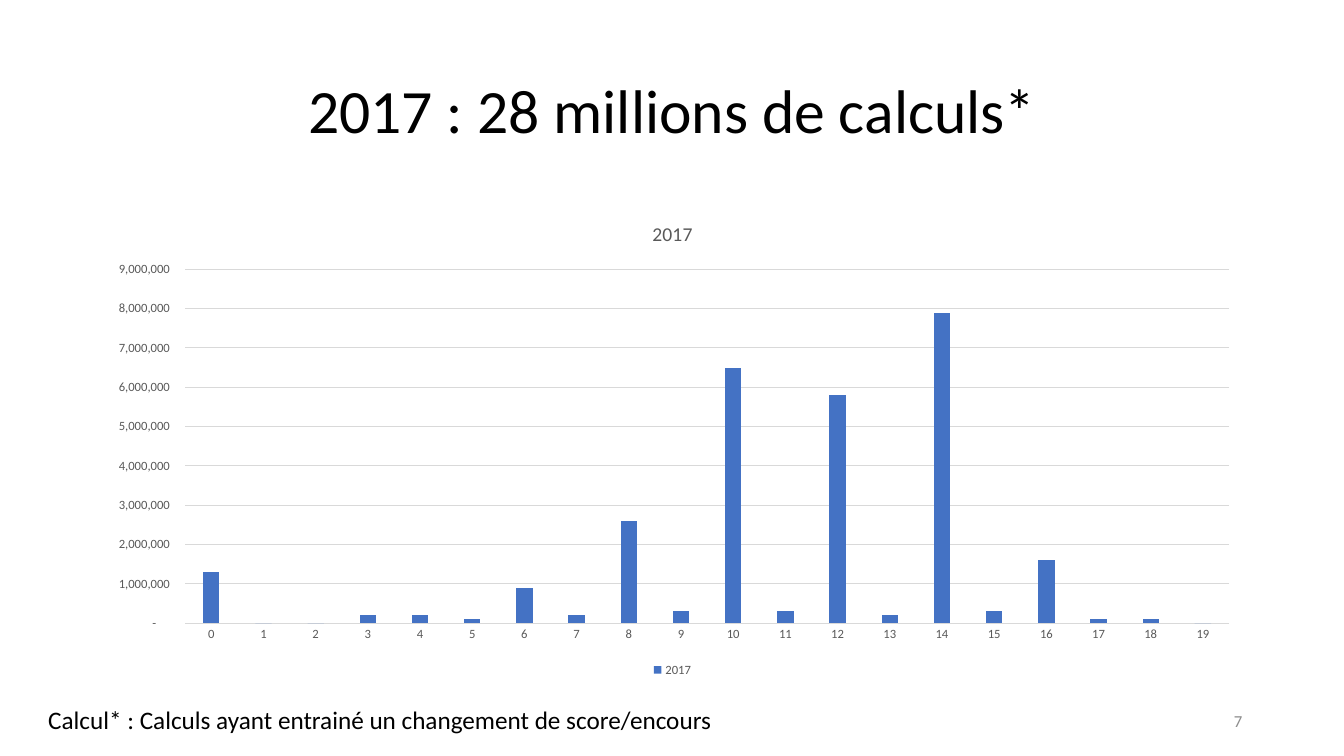
from pptx import Presentation
from pptx.chart.data import CategoryChartData
from pptx.dml.color import RGBColor
from pptx.enum.chart import XL_CHART_TYPE, XL_LEGEND_POSITION, XL_TICK_MARK
from pptx.enum.text import MSO_ANCHOR, MSO_AUTO_SIZE, PP_ALIGN
from pptx.util import Inches, Pt

TITLE = "2017 : 28 millions de calculs*"
FOOTNOTE = "Calcul* : Calculs ayant entrainé un changement de score/encours"
PAGE_NUMBER = "7"
YEAR = "2017"
CALCULATIONS = [
    1300000, 0, 0, 200000, 200000, 100000, 900000, 200000, 2600000, 300000,
    6500000, 300000, 5800000, 200000, 7900000, 300000, 1600000, 100000, 100000, 0,
]
NUMBER_FORMAT = r'_-* #,##0\ _€_-;\-* #,##0\ _€_-;_-* "-"??\ _€_-;_-@_-'

FONT = "Calibri"
BLACK = RGBColor(0x00, 0x00, 0x00)
LABEL_GRAY = RGBColor(0x59, 0x59, 0x59)
NUMBER_GRAY = RGBColor(0x8C, 0x8C, 0x8C)
GRID_GRAY = RGBColor(0xD9, 0xD9, 0xD9)
BAR_BLUE = RGBColor(0x44, 0x72, 0xC4)

NO_TICK = XL_TICK_MARK.NONE
COLUMNS = XL_CHART_TYPE.COLUMN_CLUSTERED
LEGEND_BOTTOM = XL_LEGEND_POSITION.BOTTOM
MIDDLE = MSO_ANCHOR.MIDDLE
NO_FIT = MSO_AUTO_SIZE.NONE
LEFT, CENTER, RIGHT = PP_ALIGN.LEFT, PP_ALIGN.CENTER, PP_ALIGN.RIGHT

WIDTH, HEIGHT = 13.33, 7.5
MARGIN = 0.92
CONTENT_WIDTH = 11.5
NUMBER_WIDTH = 3
NUMBER_LEFT = MARGIN + CONTENT_WIDTH - NUMBER_WIDTH


def style_font(font, size, color):
    font.name = FONT
    font.size = Pt(size)
    font.bold = False
    font.color.rgb = color


def style_line(line):
    line.color.rgb = GRID_GRAY
    line.width = Pt(0.75)


def write(box, text, size, color, align):
    frame = box.text_frame
    frame.text = text
    frame.word_wrap = True
    frame.auto_size = NO_FIT
    para = frame.paragraphs[0]
    para.alignment = align
    style_font(para.runs[0].font, size, color)
    return frame


def add_text(page, area, text, size, color, align):
    box = page.shapes.add_textbox(*map(Inches, area))
    return write(box, text, size, color, align)


def add_title(page):
    title = page.shapes.title
    title.left, title.top = Inches(MARGIN), Inches(0.4)
    title.width, title.height = Inches(CONTENT_WIDTH), Inches(1.45)
    frame = write(title, TITLE, 44, BLACK, CENTER)
    frame.vertical_anchor = MIDDLE
    frame.paragraphs[0].line_spacing = 0.9


def add_calculation_chart(page):
    data = CategoryChartData(number_format=NUMBER_FORMAT)
    data.categories = [str(score) for score in range(len(CALCULATIONS))]
    data.add_series(YEAR, CALCULATIONS)
    area = map(Inches, (MARGIN, 2, CONTENT_WIDTH, 4.76))
    chart = page.shapes.add_chart(COLUMNS, *area, data).chart
    style_font(chart.font, 10, BLACK)

    chart.has_title = True
    chart_title = chart.chart_title.text_frame
    chart_title.text = YEAR
    style_font(chart_title.paragraphs[0].runs[0].font, 14, LABEL_GRAY)

    chart.has_legend = True
    chart.legend.position = LEGEND_BOTTOM
    chart.legend.include_in_layout = False
    style_font(chart.legend.font, 9, LABEL_GRAY)

    for axis in (chart.category_axis, chart.value_axis):
        axis.major_tick_mark = NO_TICK
        axis.minor_tick_mark = NO_TICK
        style_font(axis.tick_labels.font, 9, LABEL_GRAY)
    style_line(chart.category_axis.format.line)

    values = chart.value_axis
    values.minimum_scale, values.maximum_scale = 0, 9000000
    values.major_unit = 1000000
    values.format.line.fill.background()
    values.has_major_gridlines = True
    style_line(values.major_gridlines.format.line)
    values.tick_labels.number_format = NUMBER_FORMAT
    values.tick_labels.number_format_is_linked = False

    plot = chart.plots[0]
    plot.vary_by_categories = False
    plot.gap_width, plot.overlap = 219, -27
    bars = plot.series[0].format.fill
    bars.solid()
    bars.fore_color.rgb = BAR_BLUE


def main():
    deck = Presentation()
    deck.slide_width, deck.slide_height = Inches(WIDTH), Inches(HEIGHT)
    page = deck.slides.add_slide(deck.slide_layouts[5])
    add_title(page)
    add_calculation_chart(page)
    add_text(page, (0.38, 6.94, 7.65, 0.4), FOOTNOTE, 18, BLACK, LEFT)
    number = add_text(page, (NUMBER_LEFT, 6.95, NUMBER_WIDTH, 0.4),
                      PAGE_NUMBER, 12, NUMBER_GRAY, RIGHT)
    number.vertical_anchor = MIDDLE
    deck.save("out.pptx")


if __name__ == "__main__":
    main()
